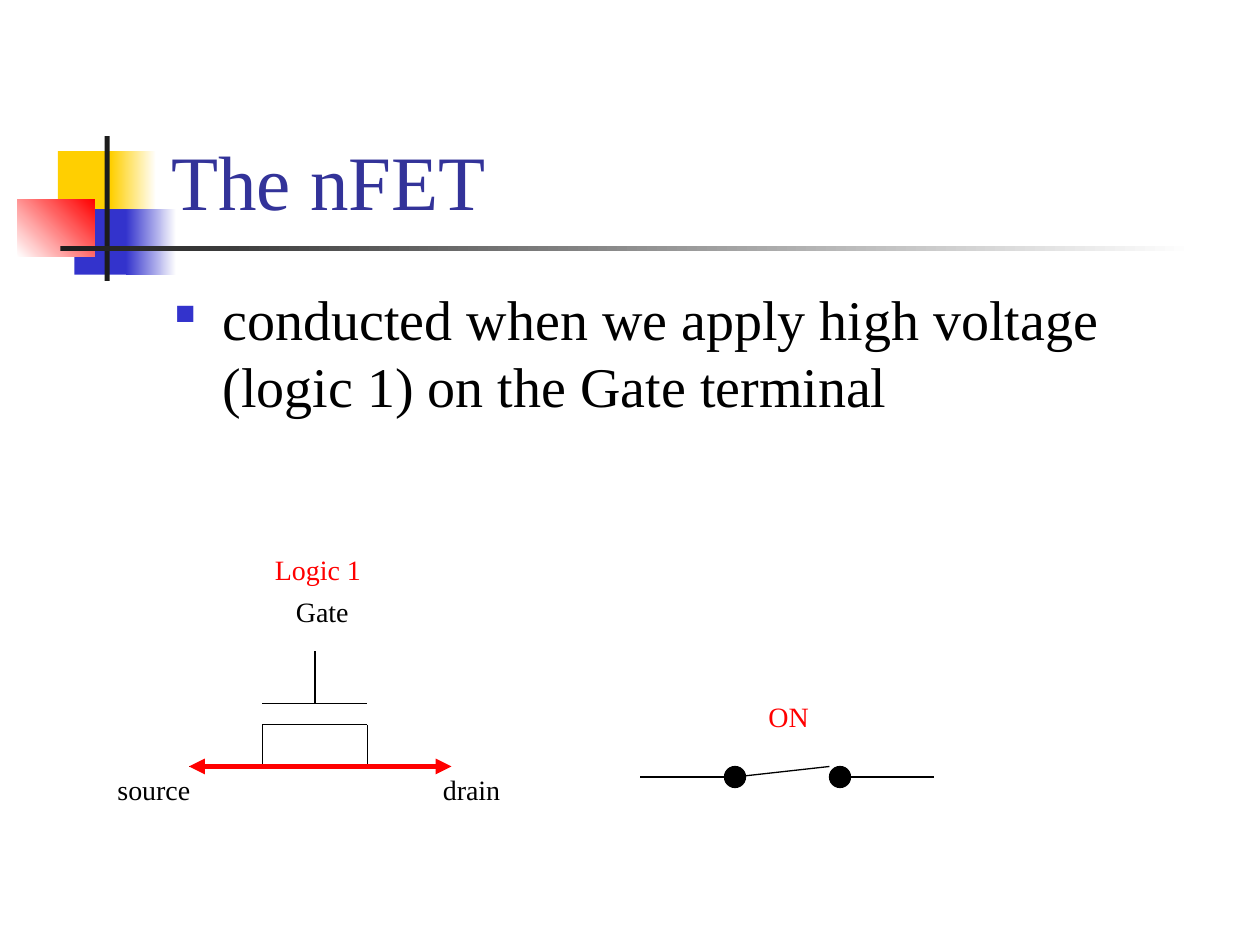
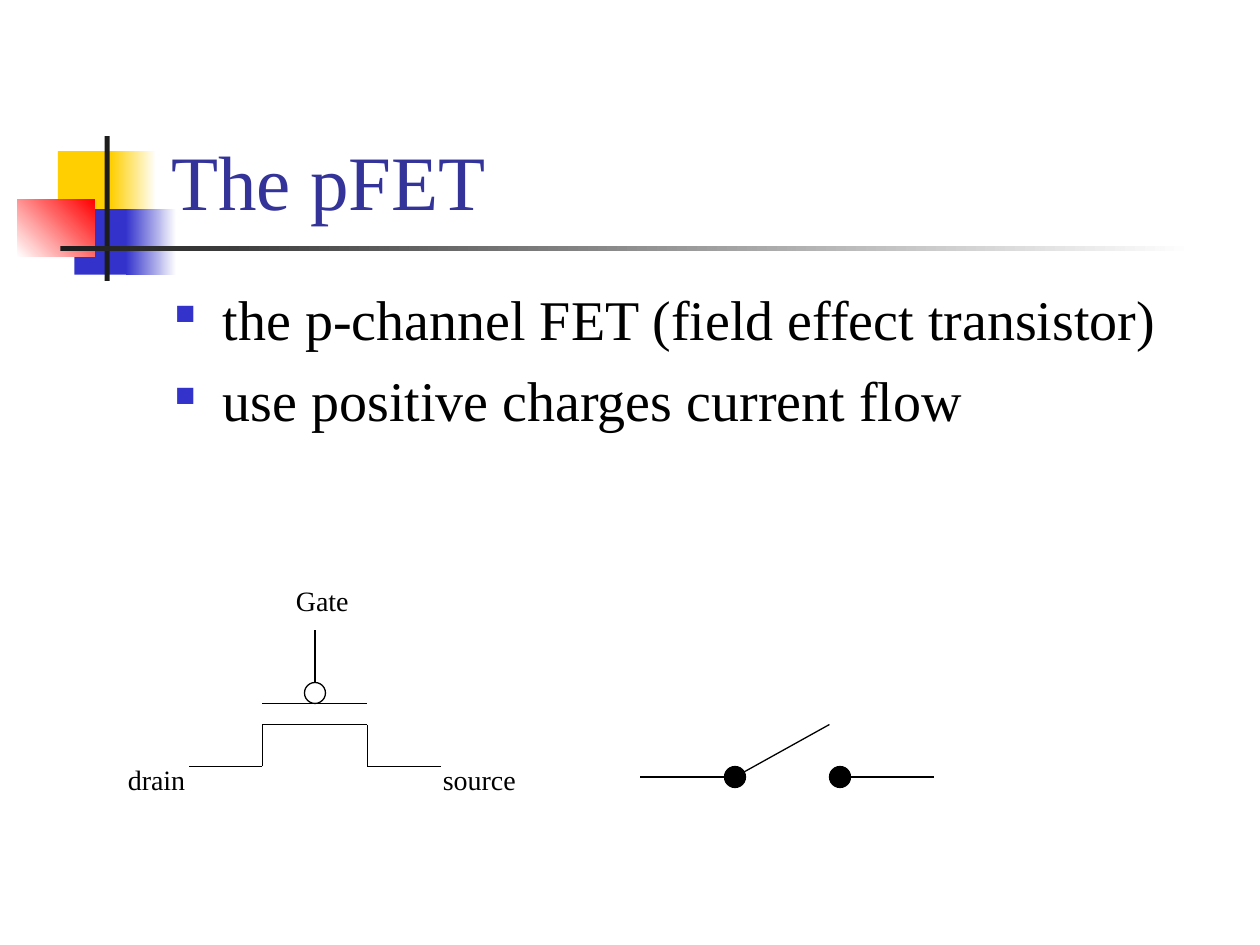
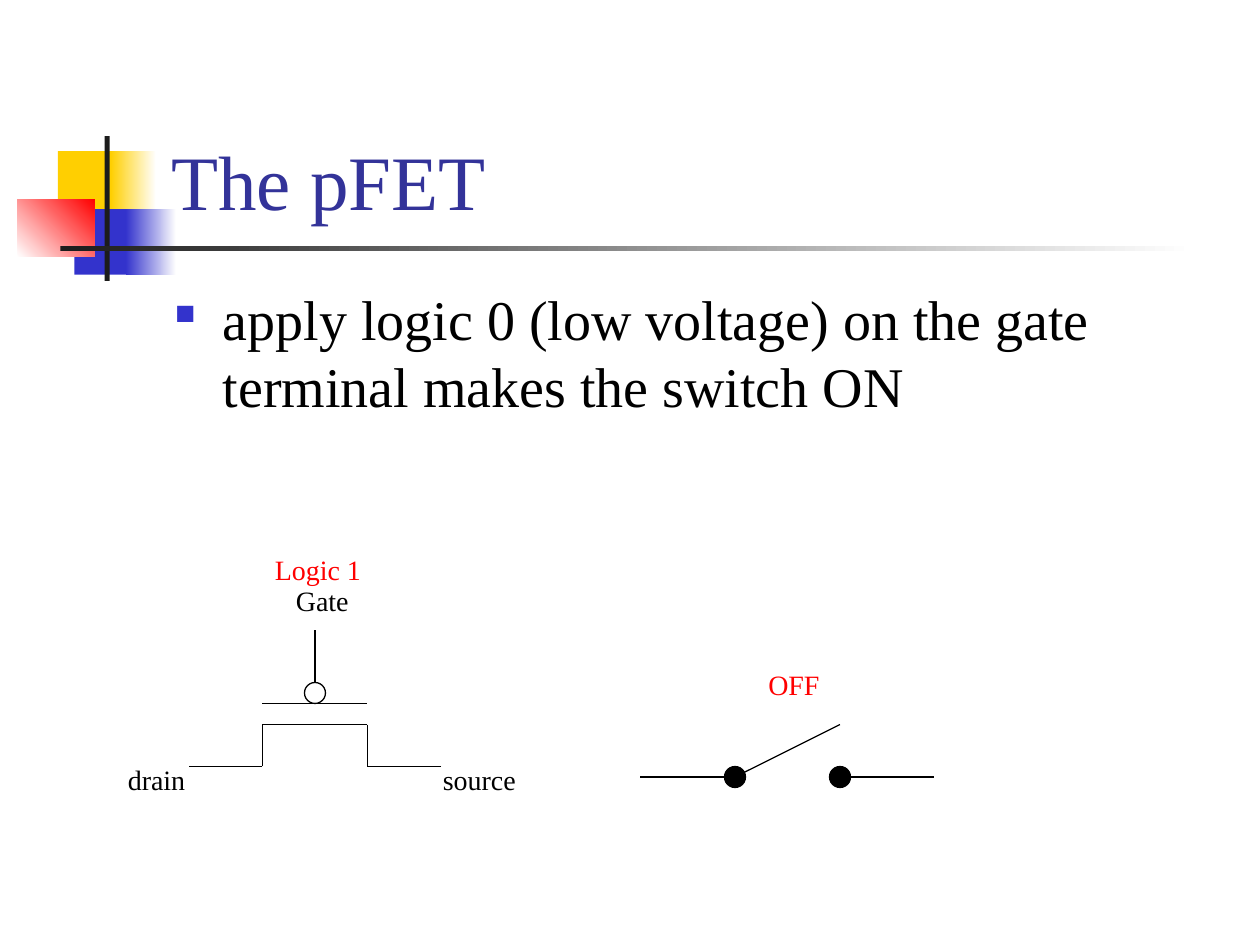
"""Build three slides on field effect transistors drawn as switches."""
from lxml.etree import SubElement
from pptx import Presentation
from pptx.dml.color import RGBColor
from pptx.enum.shapes import MSO_CONNECTOR, MSO_SHAPE
from pptx.enum.text import MSO_ANCHOR, MSO_AUTO_SIZE, PP_ALIGN
from pptx.oxml.ns import qn
from pptx.util import Inches, Pt

FONT = "Times New Roman"
BLACK, RED, WHITE = "000000", "FF0000", "FFFFFF"
YELLOW, BLUE, INK, TITLE_BLUE = "FFCF01", "3333CC", "1C1C1C", "333399"
GRID = 12
LABEL_HEIGHT = 0.37
DOT = 2

TITLE_AREA = (1.26, 0.24, 8.52, 1.6)
BODY_AREA = (1.29, 2.21, 8.5, 1.79)

MARKS = [
    ((0.46, 1.2, 0.48, 0.52), [YELLOW], 0),
    ((0.88, 1.2, 0.36, 0.52), [YELLOW, WHITE], 0),
    ((0.59, 1.66, 0.46, 0.52), [BLUE], 0),
    ((1, 1.66, 0.4, 0.52), [BLUE, WHITE], 0),
    ((0.14, 1.58, 0.61, 0.46), [WHITE, RED], 45),
    ((0.83, 1.08, 0.04, 1.15), [INK], 0),
    ((0.48, 1.95, 9, 0.04), [INK, WHITE], 0),
]

CHANNEL = [(25, 67, 35, 67), (25, 69, 35, 69), (25, 69, 25, 73),
           (35, 69, 35, 73), (25, 73, 18, 73), (42, 73, 35, 73)]
N_TYPE = {
    "lines": CHANNEL + [(30, 67, 30, 62)],
    "bubbles": [],
    "labels": [("Gate", 27, 56, 0.62), ("source", 10, 73, 0.78),
               ("drain", 41, 73, 0.68)],
}
P_TYPE = {
    "lines": CHANNEL + [(30, 65, 30, 60)],
    "bubbles": [(29, 65)],
    "labels": [("Gate", 27, 55, 0.62), ("source", 41, 72, 0.78),
               ("drain", 11, 72, 0.68)],
}
SWITCH_WIRES = [(61, 74, 69, 74), (81, 74, 89, 74)]
SWITCH_CONTACTS = [(69, 73), (79, 73)]
SWITCH_PIVOT = (70, 74)
LOGIC_LABEL = ("Logic 1", 25, 52, 0.88)

SLIDES = [
    {"title": "The nFET",
     "points": ["conducted when we apply high voltage (logic 1) on the Gate terminal"],
     "transistor": N_TYPE, "lever": (79, 73), "current": (18, 73, 43, 73),
     "states": [LOGIC_LABEL, ("ON", 72, 66, 0.52)]},
    {"title": "The pFET",
     "points": ["the p-channel FET (field effect transistor)",
                "use positive charges current flow"],
     "transistor": P_TYPE, "lever": (79, 69), "current": None, "states": []},
    {"title": "The pFET",
     "points": ["apply logic 0 (low voltage) on the gate terminal makes the switch ON"],
     "transistor": P_TYPE, "lever": (80, 69), "current": None,
     "states": [LOGIC_LABEL, ("OFF", 72, 63, 0.67)]},
]


def color(value):
    return RGBColor.from_string(value)


def inches(values):
    return [Inches(value) for value in values]


def grid(values):
    return inches(value / GRID for value in values)


def set_all(target, **values):
    for name, value in values.items():
        setattr(target, name, value)


def style_font(font, size, fill):
    set_all(font, name=FONT, size=Pt(size))
    font.color.rgb = color(fill)


def add_mark(shapes, area, colors, angle):
    mark = shapes.add_shape(MSO_SHAPE.RECTANGLE, *inches(area))
    mark.shadow.inherit = False
    mark.line.fill.background()
    if len(colors) == 1:
        mark.fill.solid()
        mark.fill.fore_color.rgb = color(colors[0])
    else:
        mark.fill.gradient()
        mark.fill.gradient_angle = angle
        for stop, value in zip(mark.fill.gradient_stops, colors):
            stop.color.rgb = color(value)
    return mark


def add_line(shapes, ends, fill=BLACK, width=0.75, arrows=False):
    line = shapes.add_connector(MSO_CONNECTOR.STRAIGHT, *grid(ends))
    line.line.color.rgb = color(fill)
    line.line.width = Pt(width)
    if arrows:
        for end in ("headEnd", "tailEnd"):
            SubElement(line.line._get_or_add_ln(), qn(f"a:{end}"), type="triangle")
    SubElement(line.element.spPr, qn("a:effectLst"))


def add_dot(shapes, corner, filled):
    dot = shapes.add_shape(MSO_SHAPE.OVAL, *grid((*corner, DOT, DOT)))
    dot.shadow.inherit = False
    dot.line.color.rgb = color(BLACK)
    dot.line.width = Pt(0.75)
    if filled:
        dot.fill.solid()
        dot.fill.fore_color.rgb = color(BLACK)
    else:
        dot.fill.background()


def add_label(shapes, text, column, row, width, fill=BLACK):
    box = shapes.add_textbox(*grid((column, row)), *inches((width, LABEL_HEIGHT)))
    set_all(box.text_frame, text=text, word_wrap=False,
            auto_size=MSO_AUTO_SIZE.SHAPE_TO_FIT_TEXT)
    style_font(box.text_frame.paragraphs[0].font, 16, fill)


def add_title(page, text):
    title = page.shapes.title
    left, top, width, height = inches(TITLE_AREA)
    set_all(title, left=left, top=top, width=width, height=height)
    set_all(title.text_frame, text=text, word_wrap=True,
            vertical_anchor=MSO_ANCHOR.BOTTOM, auto_size=MSO_AUTO_SIZE.NONE)
    para = title.text_frame.paragraphs[0]
    para.alignment = PP_ALIGN.LEFT
    style_font(para.font, 44, TITLE_BLUE)


def add_bullet(para):
    properties = para._p.get_or_add_pPr()
    properties.set("marL", str(Inches(0.38)))
    properties.set("indent", str(-Inches(0.38)))
    tint = SubElement(properties, qn("a:buClr"))
    SubElement(tint, qn("a:srgbClr"), val=BLUE)
    SubElement(properties, qn("a:buSzPct"), val="50000")
    SubElement(properties, qn("a:buChar"), char="■")


def add_points(page, points):
    frame = page.shapes.add_textbox(*inches(BODY_AREA)).text_frame
    frame.word_wrap = True
    for index, point in enumerate(points):
        para = frame.add_paragraph() if index else frame.paragraphs[0]
        para.text = point
        add_bullet(para)
        para.space_before = Pt(8 if index else 0)
        style_font(para.font, 32, BLACK)


def add_transistor(page, transistor):
    shapes = page.shapes.add_group_shape().shapes
    for ends in transistor["lines"]:
        add_line(shapes, ends)
    for corner in transistor["bubbles"]:
        add_dot(shapes, corner, filled=False)
    for label in transistor["labels"]:
        add_label(shapes, *label)


def add_switch(page, lever):
    shapes = page.shapes.add_group_shape().shapes
    for ends in SWITCH_WIRES + [(*SWITCH_PIVOT, *lever)]:
        add_line(shapes, ends)
    for corner in SWITCH_CONTACTS:
        add_dot(shapes, corner, filled=True)


def add_page(deck, layout, content):
    page = deck.slides.add_slide(layout)
    add_title(page, content["title"])
    add_points(page, content["points"])
    add_transistor(page, content["transistor"])
    add_switch(page, content["lever"])
    for state in content["states"]:
        add_label(page.shapes, *state, fill=RED)
    if content["current"]:
        add_line(page.shapes, content["current"], RED, 3, arrows=True)
    return page


def main():
    deck = Presentation()
    set_all(deck, slide_width=Inches(10), slide_height=Inches(7.5))
    layout = deck.slide_layouts[5]
    pages = [add_page(deck, layout, content) for content in SLIDES]
    for mark in MARKS:
        layout.shapes.element.append(add_mark(pages[0].shapes, *mark).element)
    deck.save("out.pptx")


if __name__ == "__main__":
    main()
